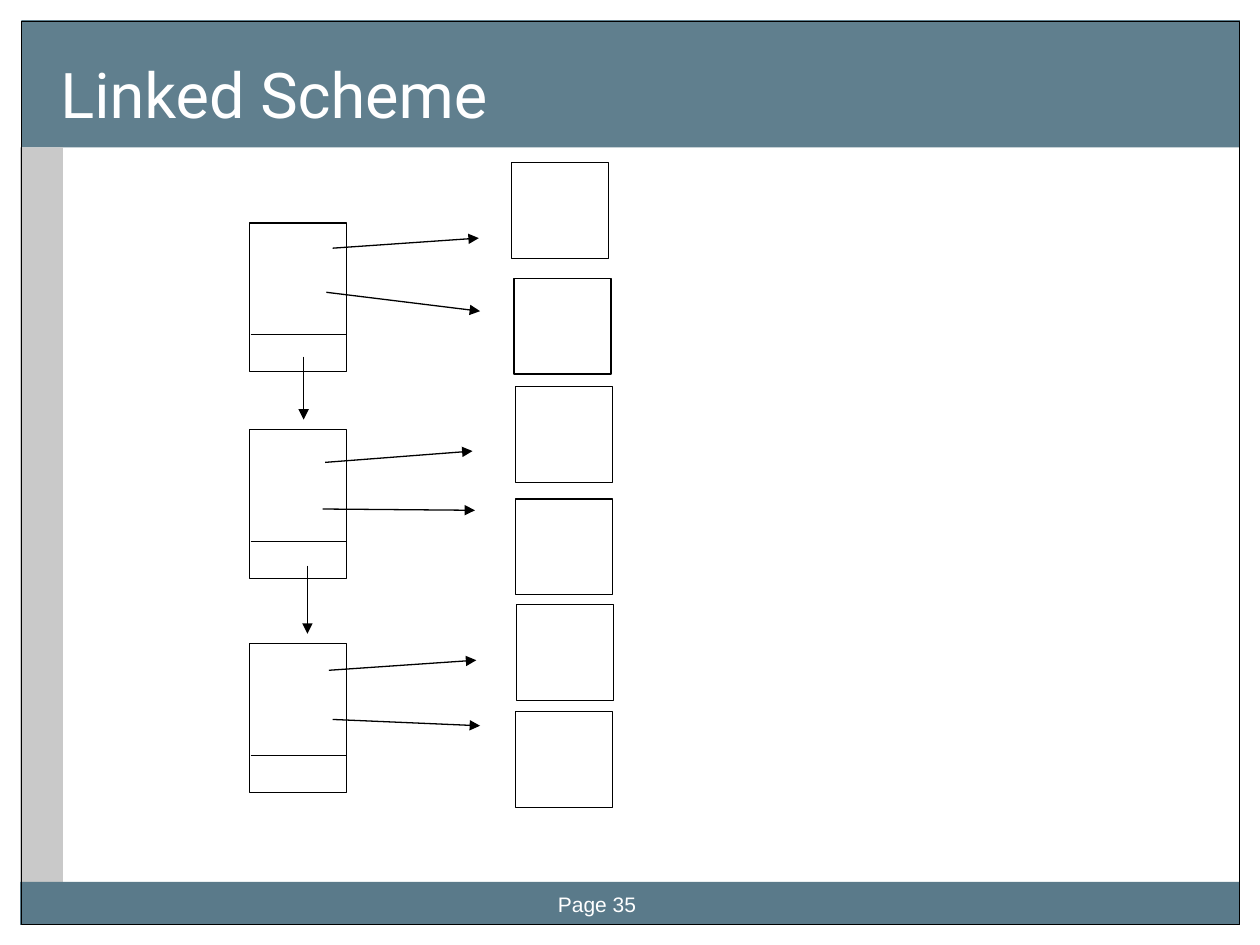
import pptx
import pptx.util
import pptx.dml.color
import pptx.enum.shapes
import pptx.enum.text
import pptx.oxml.ns
from lxml import etree

Inches = pptx.util.Inches
RGB = pptx.dml.color.RGBColor.from_string
qn = pptx.oxml.ns.qn

THEME = {
    "band": "3E6376", "side": "C9C9C9", "ink": "000000", "text": "FFFFFF",
    "line": 0.75, "title": 36, "page": 12,
    "head_font": "Roboto", "foot_font": "Arial",
}

# Bands: left, top, width, height, colour, opacity in percent
BANDS = [
    (0.17, 0.16, 9.67, 1.01, "band", 82),
    (0.16, 1.17, 0.34, 5.83, "side", 100),
    (0.16, 7, 9.68, 0.34, "band", 85),
]
FRAME = (0.17, 0.17, 9.67, 7.17)

# Text boxes: wording, box, insets (left, top, right, bottom), anchor, size, font
LABELS = [
    ("Page 35", (4.33, 7.03, 1.5, 0.27), (0.1, 0.05, 0.1, 0.05),
     "TOP", "page", "foot_font"),
    ("Linked Scheme", (0.18, 0.17, 9.67, 1), (0.3, 0.05, 0.1, 0.13),
     "BOTTOM", "title", "head_font"),
]

INDEX_LEFT, INDEX_SIZE, LINK_DROP = 1.98, (0.77, 1.18), 0.885
INDEX_TOPS = [1.77, 3.41, 5.11]

DATA_SIZE = (0.77, 0.76)
DATA_SPOTS = [(4.06, 1.29), (4.08, 2.21), (4.09, 3.07),
              (4.09, 3.96), (4.1, 4.8), (4.09, 5.65)]

# Pointers: from x, from y, to x, to y
LINKS = [(2.41, 2.83, 2.41, 3.33), (2.44, 4.49, 2.44, 5.03)]
POINTERS = [
    (2.64, 1.97, 3.8, 1.89), (2.59, 2.32, 3.81, 2.47),
    (2.58, 3.67, 3.75, 3.58), (2.56, 4.04, 3.77, 4.05),
    (2.61, 5.32, 3.78, 5.24), (2.64, 5.71, 3.81, 5.76),
]


def add_box(slide, box):
    """Add an unfilled, outlined rectangle."""
    shape = slide.shapes.add_shape(
        pptx.enum.shapes.MSO_SHAPE.RECTANGLE, *map(Inches, box))
    shape.shadow.inherit = False
    shape.fill.background()
    shape.line.color.rgb = RGB(THEME["ink"])
    shape.line.width = pptx.util.Pt(THEME["line"])
    return shape


def add_band(slide, box, tone, solid):
    shape = add_box(slide, box)
    shape.line.fill.background()
    shape.fill.solid()
    shape.fill.fore_color.rgb = RGB(THEME[tone])
    if solid < 100:
        color = shape.fill._xPr.find(".//" + qn("a:srgbClr"))
        etree.SubElement(color, qn("a:alpha"), val=str(solid * 1000))


def add_line(slide, ends, arrow=False):
    line = slide.shapes.add_connector(
        pptx.enum.shapes.MSO_CONNECTOR.STRAIGHT, *map(Inches, ends))
    line.line.color.rgb = RGB(THEME["ink"])
    line.line.width = pptx.util.Pt(THEME["line"])
    if arrow:
        etree.SubElement(line.line._get_or_add_ln(), qn("a:tailEnd"),
                         type="triangle")
    etree.SubElement(line._element.spPr, qn("a:effectLst"))


def add_label(slide, words, box, insets, anchor, size, font):
    frame = slide.shapes.add_textbox(*map(Inches, box)).text_frame
    frame.word_wrap = True
    frame.vertical_anchor = getattr(pptx.enum.text.MSO_ANCHOR, anchor)
    for side, inset in zip(("left", "top", "right", "bottom"), insets):
        setattr(frame, "margin_" + side, Inches(inset))
    run = frame.paragraphs[0].add_run()
    run.text = words
    run.font.size = pptx.util.Pt(THEME[size])
    run.font.name = THEME[font]
    run.font.color.rgb = RGB(THEME["text"])


def main():
    deck = pptx.Presentation()
    deck.slide_width, deck.slide_height = Inches(10), Inches(7.5)
    slide = deck.slides.add_slide(deck.slide_layouts[6])

    for *box, tone, solid in BANDS:
        add_band(slide, box, tone, solid)
    add_box(slide, FRAME)
    for label in LABELS:
        add_label(slide, *label)

    right = INDEX_LEFT + INDEX_SIZE[0]
    for top in INDEX_TOPS:
        add_box(slide, (INDEX_LEFT, top, *INDEX_SIZE))
        cut = top + LINK_DROP
        add_line(slide, (INDEX_LEFT + 0.01, cut, right, cut))
    for ends in LINKS + POINTERS:
        add_line(slide, ends, arrow=True)
    for spot in DATA_SPOTS:
        add_box(slide, (*spot, *DATA_SIZE))

    deck.save("out.pptx")


if __name__ == "__main__":
    main()
